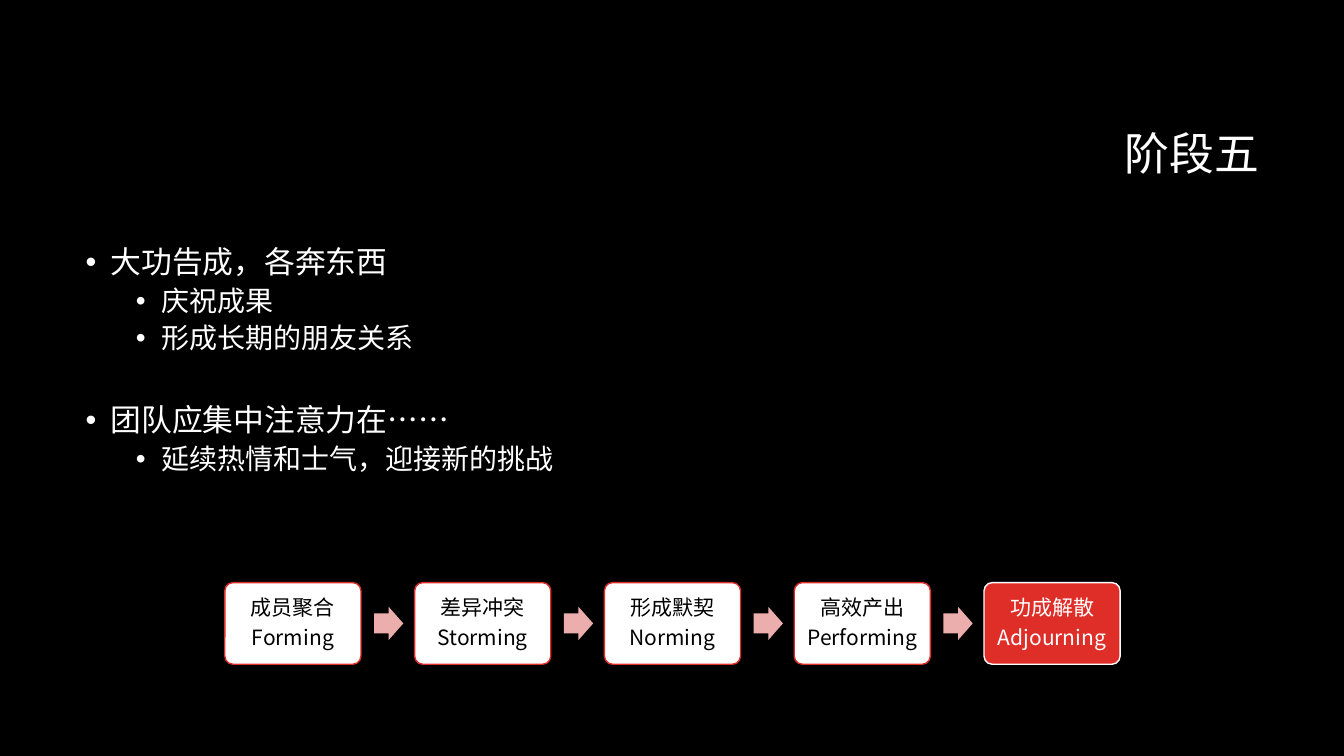
from dataclasses import dataclass

from lxml import etree
from pptx import Presentation
from pptx.dml.color import RGBColor
from pptx.enum.shapes import MSO_SHAPE
from pptx.enum.text import MSO_ANCHOR, PP_ALIGN
from pptx.oxml.ns import qn
from pptx.util import Inches, Pt

ROUNDED = MSO_SHAPE.ROUNDED_RECTANGLE
ARROW = MSO_SHAPE.RIGHT_ARROW
MIDDLE, TOP = MSO_ANCHOR.MIDDLE, MSO_ANCHOR.TOP
LEFT, CENTER, RIGHT = PP_ALIGN.LEFT, PP_ALIGN.CENTER, PP_ALIGN.RIGHT

FONT = "Noto Sans CJK SC"
COLORS = {"black": "000000", "white": "FFFFFF", "red": "DF2E28", "pink": "ECADAD"}

STAGE_LEFT, STAGE_TOP, STAGE_PITCH = 2.23, 5.78, 1.8825
STAGE_WIDTH, STAGE_HEIGHT = 1.35, 0.81
ARROW_OFFSET, ARROW_WIDTH, ARROW_HEIGHT = 1.48, 0.29, 0.33


@dataclass
class Point:
    text: str
    size: int
    indent: float
    before: float


@dataclass
class Stage:
    chinese: str
    english: str
    fill: str = "white"
    line: str = "red"
    ink: str = "black"


POINTS = [
    Point("大功告成，各奔东西", 22, 0.25, 0),
    Point("庆祝成果", 20, 0.75, 5),
    Point("形成长期的朋友关系", 20, 0.75, 5),
    Point("团队应集中注意力在……", 22, 0.25, 36),
    Point("延续热情和士气，迎接新的挑战", 20, 0.75, 5),
]
STAGES = [
    Stage("成员聚合", "Forming"),
    Stage("差异冲突", "Storming"),
    Stage("形成默契", "Norming"),
    Stage("高效产出", "Performing"),
    Stage("功成解散", "Adjourning", "red", "white", "white"),
]


def color(name: str) -> RGBColor:
    return RGBColor.from_string(COLORS[name])


def style_paragraph(para, text: str, size: int, ink: str, align) -> None:
    para.text = text
    para.alignment = align
    para.line_spacing = 0.9
    para.font.size = Pt(size)
    para.font.name = FONT
    para.font.color.rgb = color(ink)


def add_bullet(para, indent: float) -> None:
    properties = para._p.get_or_add_pPr()
    properties.set("marL", str(Inches(indent)))
    properties.set("indent", str(Inches(-0.25)))
    etree.SubElement(properties, qn("a:buFont")).set("typeface", "Arial")
    etree.SubElement(properties, qn("a:buChar")).set("char", "•")


def add_text_frame(page, left: float, top: float, width: float, height: float, anchor):
    box = page.shapes.add_textbox(Inches(left), Inches(top), Inches(width), Inches(height))
    frame = box.text_frame
    frame.word_wrap = True
    frame.vertical_anchor = anchor
    return frame


def next_paragraph(frame, index: int):
    return frame.add_paragraph() if index else frame.paragraphs[0]


def add_solid(page, kind, left: float, top: float, width: float, height: float,
              fill: str, adjustments: list[float]):
    shape = page.shapes.add_shape(kind, Inches(left), Inches(top), Inches(width), Inches(height))
    shape.shadow.inherit = False
    shape.fill.solid()
    shape.fill.fore_color.rgb = color(fill)
    shape.line.fill.background()
    for index, value in enumerate(adjustments):
        shape.adjustments[index] = value
    return shape


def add_points(page, points: list[Point]) -> None:
    frame = add_text_frame(page, 0.75, 2.4, 11.83, 4.4, TOP)
    for index, point in enumerate(points):
        para = next_paragraph(frame, index)
        add_bullet(para, point.indent)
        style_paragraph(para, point.text, point.size, "white", LEFT)
        para.space_before = Pt(point.before)


def add_stage(page, stage: Stage, left: float) -> None:
    card = add_solid(page, ROUNDED, left, STAGE_TOP, STAGE_WIDTH, STAGE_HEIGHT, stage.fill, [0.1])
    card.line.color.rgb = color(stage.line)
    card.line.width = Pt(1)
    frame = card.text_frame
    frame.word_wrap = True
    frame.vertical_anchor = MIDDLE
    frame.margin_left = frame.margin_right = Inches(0.08)
    frame.margin_top = frame.margin_bottom = Inches(0.08)
    for index, label in enumerate((stage.chinese, stage.english)):
        para = next_paragraph(frame, index)
        style_paragraph(para, label, 15, stage.ink, CENTER)
        para.space_after = Pt(5.25)


def main() -> None:
    deck = Presentation()
    deck.slide_width, deck.slide_height = Inches(13.33), Inches(7.5)
    page = deck.slides.add_slide(deck.slide_layouts[6])
    page.background.fill.solid()
    page.background.fill.fore_color.rgb = color("black")

    title = add_text_frame(page, 3.17, 0.84, 9.42, 1.41, MIDDLE)
    style_paragraph(title.paragraphs[0], "阶段五", 32, "white", RIGHT)
    add_points(page, POINTS)

    arrow_top = STAGE_TOP + (STAGE_HEIGHT - ARROW_HEIGHT) / 2
    for index, stage in enumerate(STAGES):
        left = STAGE_LEFT + index * STAGE_PITCH
        add_stage(page, stage, left)
        if index < len(STAGES) - 1:
            add_solid(page, ARROW, left + ARROW_OFFSET, arrow_top,
                      ARROW_WIDTH, ARROW_HEIGHT, "pink", [0.6, 0.5])
    deck.save("out.pptx")


if __name__ == "__main__":
    main()
